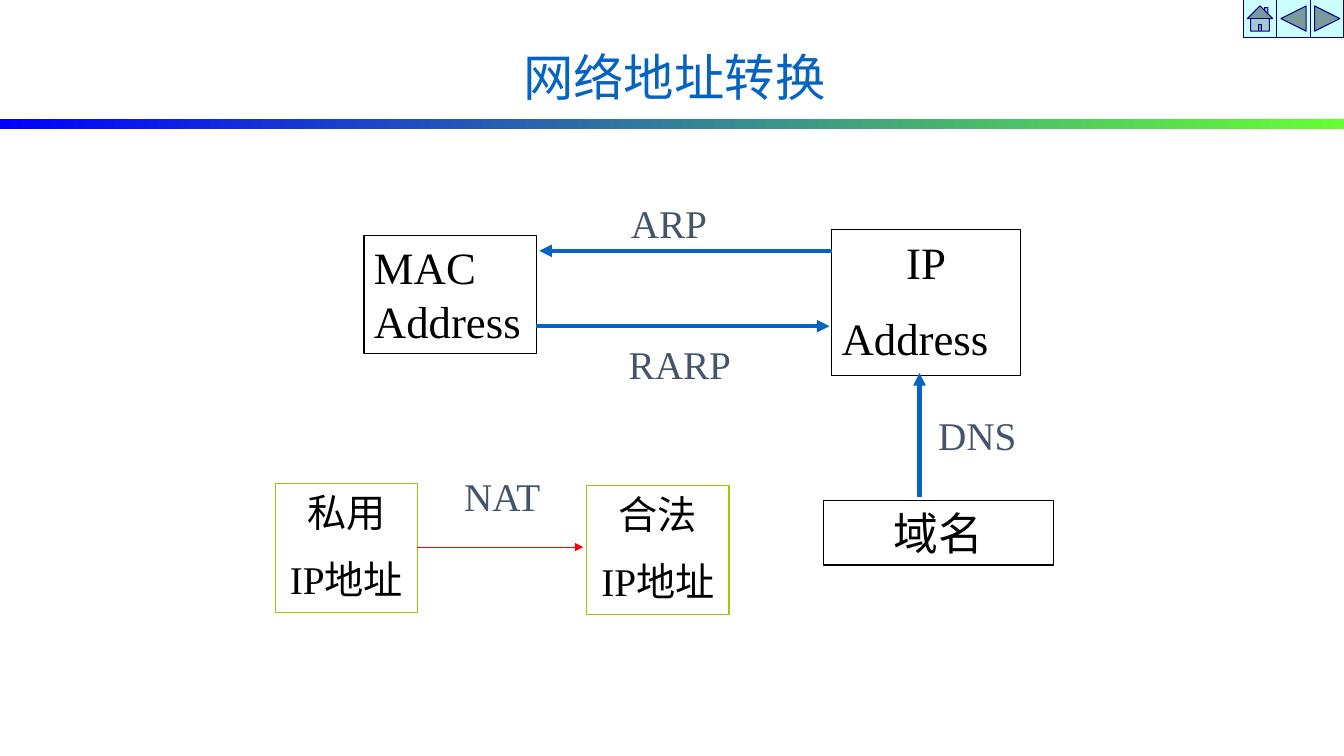
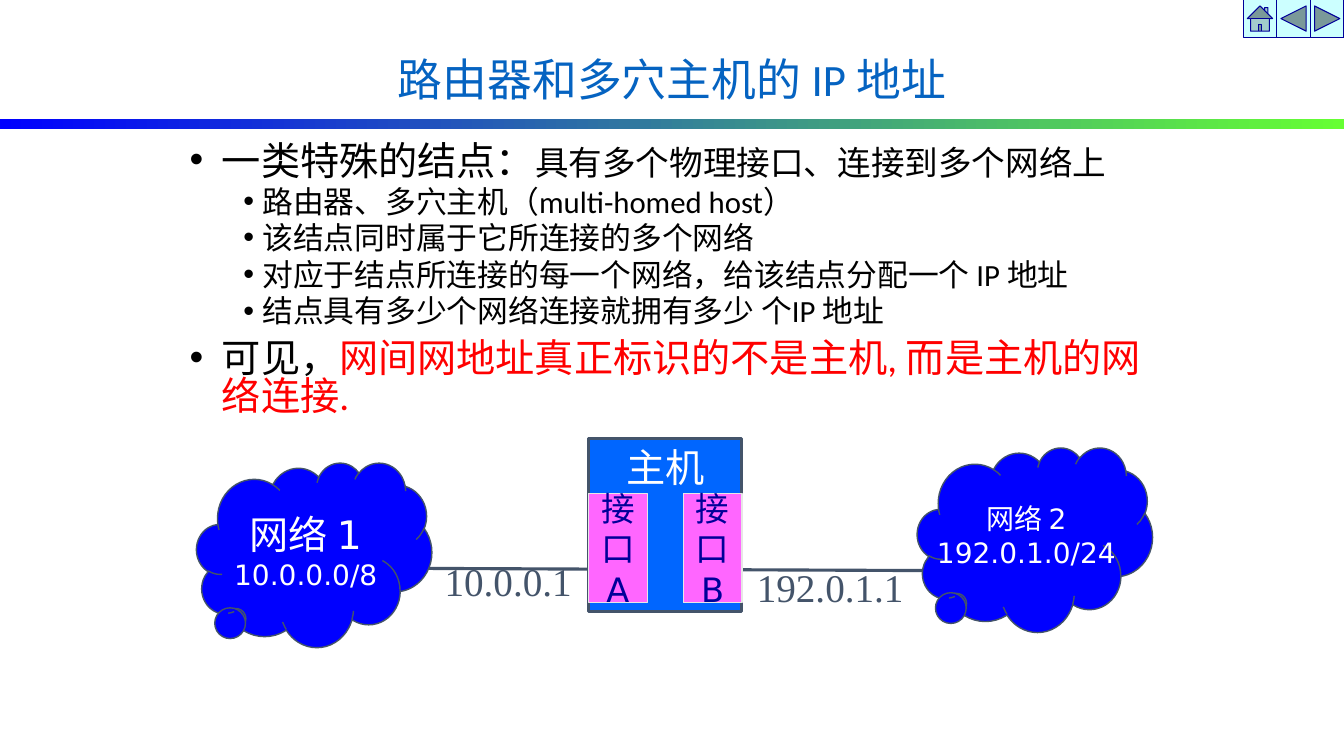
from dataclasses import dataclass

from lxml import etree
from pptx import Presentation
from pptx.dml.color import RGBColor
from pptx.enum import shapes, text
from pptx.oxml import ns
from pptx.util import Pt


@dataclass(frozen=True)
class Theme:
    serif: str = "Times New Roman"
    sans: str = "Calibri"
    diagram: str = "DejaVu Sans"
    black: str = "000000"
    white: str = "FFFFFF"
    red: str = "FF0000"
    accent: str = "0563C1"
    slate: str = "44546A"
    green: str = "99CC00"
    blue: str = "0000FF"
    host: str = "0066FF"
    pink: str = "FF66FF"
    navy: str = "000099"
    pale: str = "E7E6E6"
    button: str = "CCFFFF"
    lime: str = "66FF33"
    huge: int = 32
    large: int = 28
    medium: int = 24
    item: int = 22
    small: int = 20
    hairline: float = 0.75
    outline: float = 2.25
    arrow: float = 3
    side: float = 7.2
    tight: float = 3.6


T = Theme()
SHAPE = shapes.MSO_SHAPE
LEFT, CENTER, RIGHT = text.PP_ALIGN.LEFT, text.PP_ALIGN.CENTER, text.PP_ALIGN.RIGHT
TOP, MIDDLE = text.MSO_ANCHOR.TOP, text.MSO_ANCHOR.MIDDLE

BUTTONS = [SHAPE.ACTION_BUTTON_HOME, SHAPE.ACTION_BUTTON_BACK_OR_PREVIOUS,
           SHAPE.ACTION_BUTTON_FORWARD_OR_NEXT]
BUTTON_SIZE = (24, 26.6)
SLIDE_SIZE = (960, 540)
BAND = (0, 85.2, 960, 6.6)

ADDRESS_TITLE = ("网络地址转换", 36, (175.6, 34, 612, 90))
ADDRESS_BOXES = [
    ((260, 168, 123, 84.6), T.black, T.huge, T.side, [("MAC Address", LEFT)]),
    ((594, 164, 135, 104), T.black, T.huge, T.side, [("IP", CENTER), ("Address", LEFT)]),
    ((588, 357.6, 164.5, 46), T.black, T.huge, T.side, [("域名", CENTER)]),
    ((196.6, 345.6, 101.6, 92), T.green, T.large, T.tight,
     [("私用", CENTER), ("IP地址", CENTER)]),
    ((419.2, 347, 101.6, 92), T.green, T.large, T.tight,
     [("合法", CENTER), ("IP地址", CENTER)]),
]
MAPPINGS = [
    ("DNS", (663, 290, 160, 41), LEFT, (656.8, 355), (656.8, 266.4), T.accent, T.arrow),
    ("ARP", (443.5, 139, 160, 41), LEFT, (594, 179.2), (385.2, 179.2), T.accent, T.arrow),
    ("RARP", (442, 239.4, 160, 41), LEFT, (383, 233), (592.5, 233), T.accent, T.arrow),
    ("NAT", (314.8, 333.6, 88, 41), CENTER, (298.2, 390.8), (416.6, 390.8), T.red, T.hairline),
]

ROUTER_TITLE = ("路由器和多穴主机的 IP 地址", 32, (174, 37.5, 612, 90))
BODY = (128.4, 100, 696, 218)
LEVELS = [(23, 23, 10), (52, 13.6, 5)]
OUTLINE = [
    (0, [("一类特殊的结点：", T.large, T.sans, T.black),
         ("具有多个物理接口、连接到多个网络上", T.medium, T.sans, T.black)]),
    *[(1, [(line, T.item, T.sans, T.black)]) for line in (
        "路由器、多穴主机（multi-homed host）",
        "该结点同时属于它所连接的多个网络",
        "对应于结点所连接的每一个网络，给该结点分配一个 IP 地址",
        "结点具有多少个网络连接就拥有多少 个IP 地址")],
    (0, [("可见，", T.large, T.sans, T.black),
         ("网间网地址真正标识的不是主机", T.large, T.serif, T.red),
         (", ", T.large, T.sans, T.red),
         ("而是主机的网络连接", T.large, T.serif, T.red),
         (".", T.large, T.sans, T.red)]),
]
CLOUD_SIZE = (168, 131.8)
CLOUD_TAIL = (-0.344, 0.357)
CLOUDS = [
    ((140.4, 330.4), [("网络 1", T.large), ("10.0.0.0/8", T.small)]),
    ((655.2, 319.6), [("网络 2", T.small), ("192.0.1.0/24", T.small)]),
]
LINK = ((298.8, 406), (670.4, 407.6))
HOST = (420.4, 313.2, 109.6, 123.8)
PORT_SIZE = (41.8, 77.8)
PORT_TOP = 352.8
PORTS = ["接口A", "接口B"]
PORT_ADDRESSES = [("10.0.0.1", (295.5, 395, 120, 40), RIGHT),
                  ("192.0.1.1", (533.5, 399.4, 130, 40), LEFT)]


def points(values):
    return [Pt(value) for value in values]


def rgb(value):
    return RGBColor.from_string(value)


def add_span(para, words, size, font, color):
    span = para.add_run()
    span.text = words
    span.font.size = Pt(size)
    span.font.name = font
    span.font.color.rgb = rgb(color)


def write(box, paras, anchor=TOP, wrap=True, side=T.side, edge=T.tight):
    frame = box.text_frame
    frame.word_wrap = wrap
    frame.vertical_anchor = anchor
    frame.margin_left = frame.margin_right = Pt(side)
    frame.margin_top = frame.margin_bottom = Pt(edge)
    for index, (spans, align, before) in enumerate(paras):
        para = frame.add_paragraph() if index else frame.paragraphs[0]
        para.alignment = align
        para.space_before = Pt(before if index else 0)
        for span in spans:
            add_span(para, *span)
    return frame


def add_box(page, kind, area, fill=None, line=None, width=T.hairline):
    box = page.shapes.add_shape(kind, *points(area))
    box.shadow.inherit = False
    if fill:
        box.fill.solid()
        box.fill.fore_color.rgb = rgb(fill)
    else:
        box.fill.background()
    if line:
        box.line.color.rgb = rgb(line)
        box.line.width = Pt(width)
    else:
        box.line.fill.background()
    return box


def add_line(page, start, end, color, width, arrow=False):
    line = page.shapes.add_connector(shapes.MSO_CONNECTOR.STRAIGHT, *points(start + end))
    line.line.color.rgb = rgb(color)
    line.line.width = Pt(width)
    if arrow:
        etree.SubElement(line.line._get_or_add_ln(), ns.qn("a:tailEnd"), type="triangle")
    etree.SubElement(line._element.spPr, ns.qn("a:effectLst"))


def add_label(page, words, area, align, anchor=TOP):
    label = page.shapes.add_textbox(*points(area))
    write(label, [([(words, T.large, T.serif, T.slate)], align, 0)], anchor)


def add_page(deck, words, size, area):
    page = deck.slides.add_slide(deck.slide_layouts[5])
    width, height = BUTTON_SIZE
    first = SLIDE_SIZE[0] - width * len(BUTTONS)
    for index, kind in enumerate(BUTTONS):
        add_box(page, kind, (first + index * width, 0, width, height), T.button, T.navy)
    band = add_box(page, SHAPE.RECTANGLE, BAND)
    band.fill.gradient()
    band.fill.gradient_angle = 0
    for stop, color in zip(band.fill.gradient_stops, (T.blue, T.lime)):
        stop.color.rgb = rgb(color)
    title = page.shapes.title
    title.left, title.top, title.width, title.height = points(area)
    frame = write(title, [([(words, size, T.sans, T.accent)], CENTER, 0)])
    frame.auto_size = text.MSO_AUTO_SIZE.NONE
    frame.paragraphs[0].line_spacing = 0.9
    return page


def add_outline(page):
    body = page.shapes.add_textbox(*points(BODY))
    body.fill.solid()
    body.fill.fore_color.rgb = rgb(T.white)
    frame = write(body, [(spans, LEFT, LEVELS[level][2]) for level, spans in OUTLINE])
    for para, (level, _) in zip(frame.paragraphs, OUTLINE):
        margin, hanging, _ = LEVELS[level]
        para.level = level
        props = para._p.get_or_add_pPr()
        props.set("marL", str(Pt(margin)))
        props.set("indent", str(-Pt(hanging)))
        etree.SubElement(props, ns.qn("a:buFont"), typeface="Arial")
        etree.SubElement(props, ns.qn("a:buChar"), char="•")
        para.line_spacing = 0.8


def build_address_page(deck):
    page = add_page(deck, *ADDRESS_TITLE)
    for area, line, size, side, paras in ADDRESS_BOXES:
        box = add_box(page, SHAPE.RECTANGLE, area, line=line)
        write(box, [([(words, size, T.serif, T.black)], align, size / 2)
                    for words, align in paras], side=side)
    for words, area, align, start, end, color, width in MAPPINGS:
        add_line(page, start, end, color, width, arrow=True)
        add_label(page, words, area, align)


def build_router_page(deck):
    page = add_page(deck, *ROUTER_TITLE)
    add_outline(page)
    add_line(page, *LINK, T.slate, T.outline)
    for corner, lines in CLOUDS:
        cloud = add_box(page, SHAPE.CLOUD_CALLOUT, corner + CLOUD_SIZE, T.blue, T.slate, 1)
        for index, value in enumerate(CLOUD_TAIL):
            cloud.adjustments[index] = value
        write(cloud, [([(words, size, T.diagram, T.white)], CENTER, 0)
                      for words, size in lines], MIDDLE, wrap=False, side=0, edge=0)
    host = add_box(page, SHAPE.RECTANGLE, HOST, T.host, T.slate, T.outline)
    write(host, [([("主机", T.large, T.serif, T.white)], CENTER, 0)], wrap=False)
    step = HOST[2] - PORT_SIZE[0]
    for index, words in enumerate(PORTS):
        area = (HOST[0] + index * step, PORT_TOP) + PORT_SIZE
        port = add_box(page, SHAPE.RECTANGLE, area, T.pink, T.pale)
        write(port, [([(words, T.medium, T.diagram, T.navy)], CENTER, 0)], MIDDLE)
    for words, area, align in PORT_ADDRESSES:
        add_label(page, words, area, align, MIDDLE)


def main():
    deck = Presentation()
    deck.slide_width, deck.slide_height = points(SLIDE_SIZE)
    build_address_page(deck)
    build_router_page(deck)
    deck.save("out.pptx")


if __name__ == "__main__":
    main()
